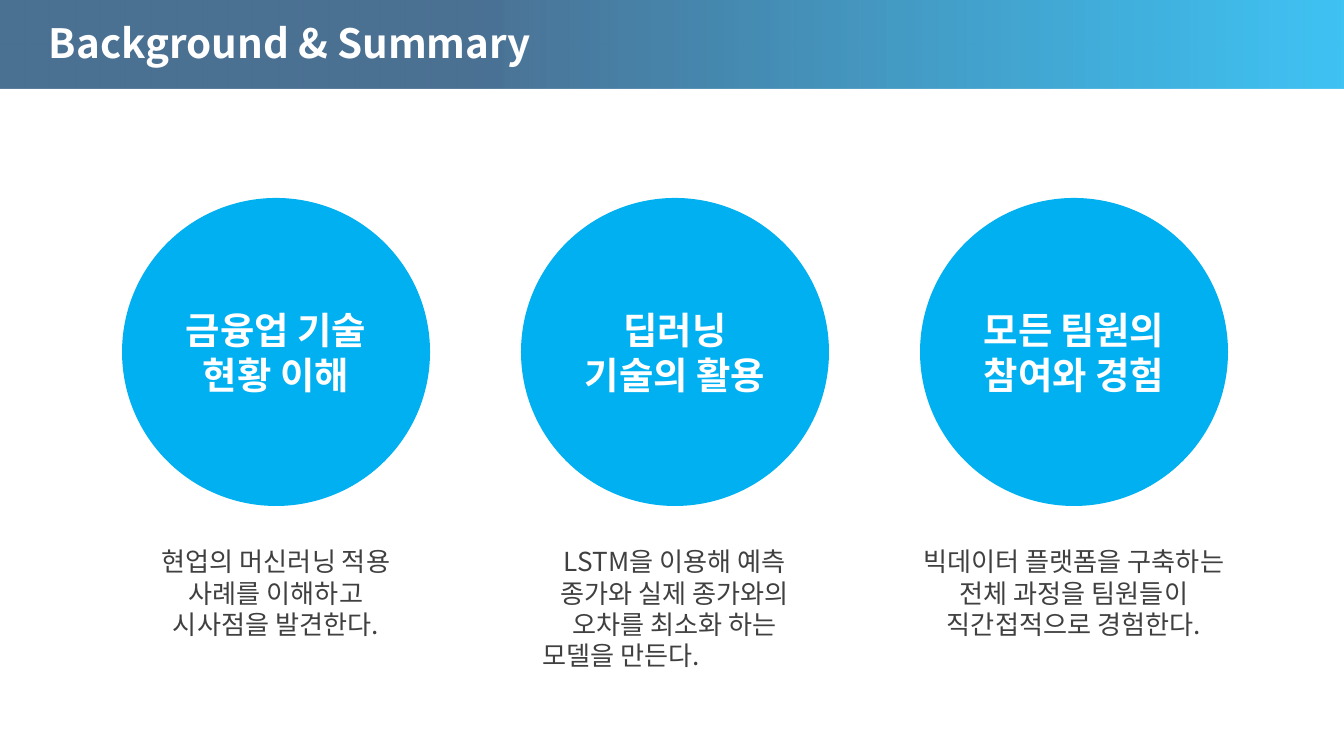
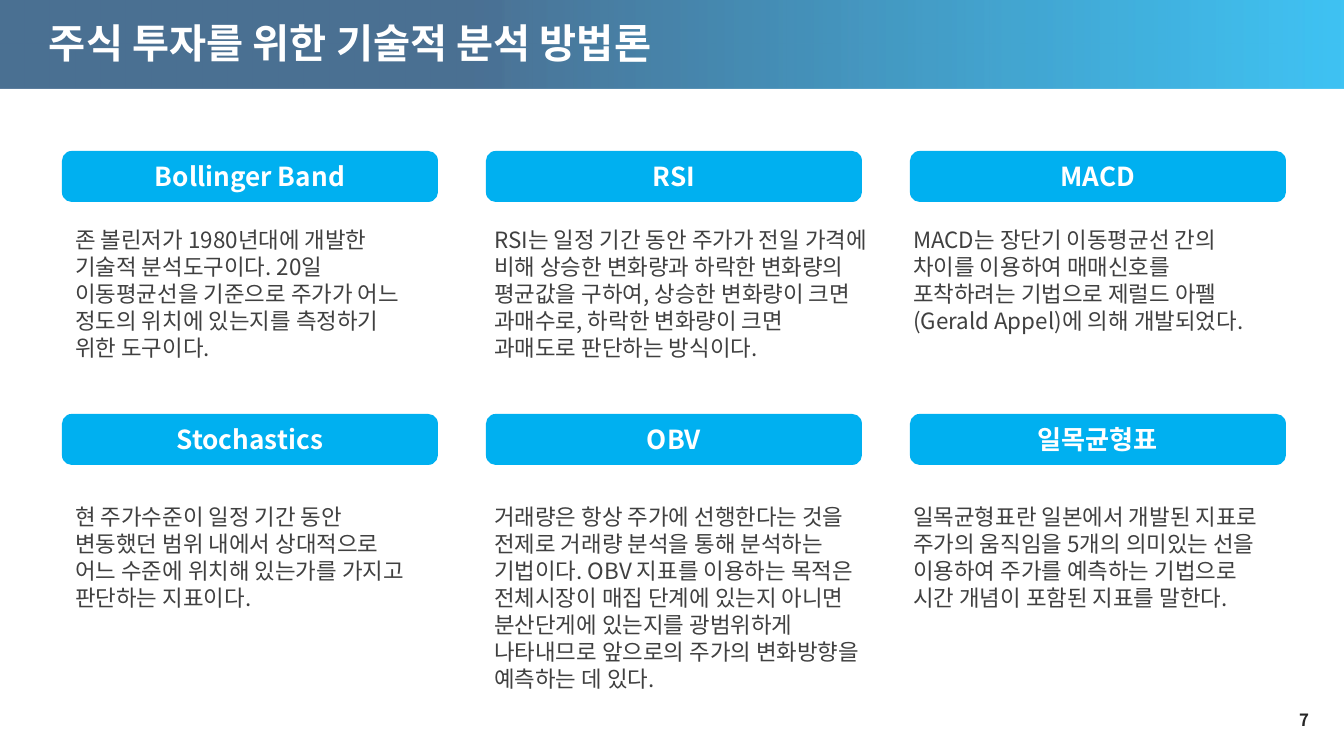
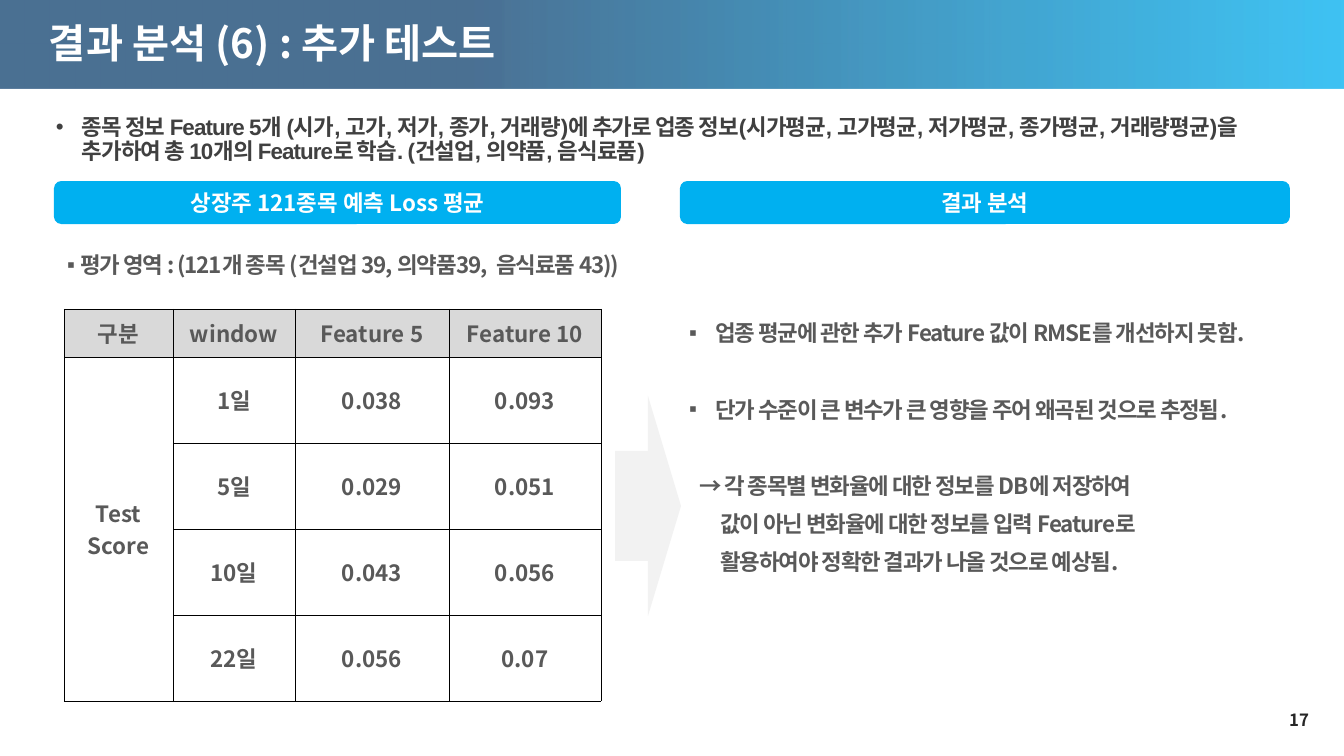
from dataclasses import dataclass

from pptx import Presentation
from pptx import util as u
from pptx.dml.color import RGBColor
from pptx.enum import shapes, text
from pptx.oxml import ns, xmlchemy

PX = 914400 / 134.4


@dataclass(frozen=True)
class Theme:
    font: str = "Noto Sans CJK KR"
    latin: str = "Arial"
    accent: str = "00B0F0"
    navy: str = "1F4E79"
    white: str = "FFFFFF"
    black: str = "000000"
    body: str = "404040"
    muted: str = "595959"
    number: str = "262626"
    header: str = "D9D9D9"
    arrow: str = "F2F2F2"
    title_size: float = 21.6
    circle_size: int = 20
    large_size: int = 14
    small_size: int = 12
    number_size: int = 9
    leading: float = 1.2


THEME = Theme()

GOALS = [
    (["금융업 기술", "현황 이해"], 284, 109,
     ["현업의 머신러닝 적용 사례를 이해하고 시사점을 발견한다."]),
    (["딥러닝", "기술의 활용"], 292, 140,
     ["LSTM을 이용해 예측 종가와 실제 종가와의 오차를 최소화 하는", "모델을 만든다."]),
    (["모든 팀원의", "참여와 경험"], 344, 109,
     ["빅데이터 플랫폼을 구축하는 전체 과정을 팀원들이 직간접적으로 경험한다."]),
]

METHODS = [
    ("Bollinger Band",
     "존 볼린저가 1980년대에 개발한 기술적 분석도구이다. 20일 이동평균선을 기준으로 주가가 "
     "어느 정도의 위치에 있는지를 측정하기 위한 도구이다.", 149),
    ("RSI",
     "RSI는 일정 기간 동안 주가가 전일 가격에 비해 상승한 변화량과 하락한 변화량의 평균값을 "
     "구하여, 상승한 변화량이 크면 과매수로, 하락한 변화량이 크면 과매도로 판단하는 방식이다.", 149),
    ("MACD",
     "MACD는 장단기 이동평균선 간의 차이를 이용하여 매매신호를 포착하려는 기법으로 "
     "제럴드 아펠(Gerald Appel)에 의해 개발되었다.", 122),
    ("Stochastics",
     "현 주가수준이 일정 기간 동안 변동했던 범위 내에서 상대적으로 어느 수준에 위치해 "
     "있는가를 가지고 판단하는 지표이다.", 122),
    ("OBV",
     "거래량은 항상 주가에 선행한다는 것을 전제로 거래량 분석을 통해 분석하는 기법이다. "
     "OBV 지표를 이용하는 목적은 전체시장이 매집 단계에 있는지 아니면 분산단게에 있는지를 "
     "광범위하게 나타내므로 앞으로의 주가의 변화방향을 예측하는 데 있다.", 203),
    ("일목균형표",
     "일목균형표란 일본에서 개발된 지표로 주가의 움직임을 5개의 의미있는 선을 이용하여 "
     "주가를 예측하는 기법으로 시간 개념이 포함된 지표를 말한다.", 149),
]
METHOD_TEXT_WIDTHS = [376, 402, 387]

FEATURE_NOTE = (
    "종목 정보 Feature 5개 (시가, 고가, 저가, 종가, 거래량)에 추가로 업종 정보(시가평균, "
    "고가평균, 저가평균, 종가평균, 거래량평균)을 추가하여 총 10개의 Feature로 학습. "
    "(건설업, 의약품, 음식료품)"
)
TEST_SCOPE = "평가 영역 : (121개 종목 (건설업 39, 의약품39,  음식료품 43))"
RESULT_PILLS = [("상장주 121종목 예측 Loss 평균", 54, 567), ("결과 분석", 680, 610)]
SCORES = [
    ["구분", "window", "Feature 5", "Feature 10"],
    ["Test\nScore", "1일", "0.038", "0.093"],
    ["", "5일", "0.029", "0.051"],
    ["", "10일", "0.043", "0.056"],
    ["", "22일", "0.056", "0.07"],
]
SCORE_COLUMNS = [109, 122, 154, 152]
SCORE_ROWS = [48, 86, 86, 86, 86]
FINDINGS = [
    ("업종 평균에 관한 추가 Feature 값이 RMSE를 개선하지 못함.",
     dict(bullet="▪", margin=26, before=6)),
    ("단가 수준이 큰 변수가 큰 영향을 주어 왜곡된 것으로 추정됨.",
     dict(bullet="▪", margin=26, before=26.4)),
    ("→ 각 종목별 변화율에 대한 정보를 DB에 저장하여", dict(margin=10, before=26.4)),
    ("값이 아닌 변화율에 대한 정보를 입력 Feature로", dict(margin=31, before=6)),
    ("활용하여야 정확한 결과가 나올 것으로 예상됨.", dict(margin=31, before=6)),
]


def px(length):
    return u.Emu(round(length * PX))


def rgb(color):
    return RGBColor.from_string(color)


def sub(parent, tag, **attributes):
    element = xmlchemy.OxmlElement(tag)
    for name, value in attributes.items():
        element.set(name, str(value))
    parent.append(element)
    return element


def write(frame, content, size=THEME.small_size, color=THEME.body, bold=False,
          align=None, font=THEME.font, bullet=None, margin=0, before=None,
          line=None, tracking=None):
    paragraph = frame.paragraphs[0]
    if paragraph.runs:
        paragraph = frame.add_paragraph()
    paragraph.alignment = align
    if before is not None:
        paragraph.space_before = u.Pt(before)
    if line is not None:
        paragraph.line_spacing = line
    properties = paragraph._p.get_or_add_pPr()
    if margin:
        properties.set("marL", str(px(margin)))
        properties.set("indent", str(-px(margin) if bullet else 0))
    if bullet:
        sub(properties, "a:buFont", typeface=THEME.latin)
        sub(properties, "a:buChar", char=bullet)
    run = paragraph.add_run()
    run.text = content
    run.font.size = u.Pt(size)
    run.font.bold = bold
    run.font.color.rgb = rgb(color)
    run.font.name = font
    run_properties = run._r.get_or_add_rPr()
    sub(run_properties, "a:ea", typeface=THEME.font)
    if tracking is not None:
        run_properties.set("spc", str(round(tracking * 100)))


def leading(size):
    return u.Pt(size * THEME.leading)


def set_insets(frame, horizontal, vertical):
    frame.margin_left = frame.margin_right = px(horizontal)
    frame.margin_top = frame.margin_bottom = px(vertical)


def add_box(slide, left, top, width, height, grow=False, middle=False, insets=None):
    frame = slide.shapes.add_textbox(px(left), px(top), px(width), px(height)).text_frame
    frame.word_wrap = True
    if grow:
        frame.auto_size = text.MSO_AUTO_SIZE.SHAPE_TO_FIT_TEXT
    if middle:
        frame.vertical_anchor = text.MSO_ANCHOR.MIDDLE
    if insets:
        set_insets(frame, *insets)
    return frame


def add_shape(slide, kind, left, top, width, height, color=THEME.accent):
    shape = slide.shapes.add_shape(kind, px(left), px(top), px(width), px(height))
    shape.shadow.inherit = False
    shape.line.fill.background()
    shape.fill.solid()
    shape.fill.fore_color.rgb = rgb(color)
    shape.text_frame.vertical_anchor = text.MSO_ANCHOR.MIDDLE
    return shape


def add_pill(slide, label, left, top, width, height, size, corner=0.17):
    pill = add_shape(slide, shapes.MSO_SHAPE.ROUNDED_RECTANGLE, left, top, width, height)
    pill.adjustments[0] = corner
    write(pill.text_frame, label, size=size, color=THEME.white, bold=True,
          align=text.PP_ALIGN.CENTER)


def start_slide(presentation, title, number=None):
    slide = presentation.slides.add_slide(presentation.slide_layouts[6])
    band = add_shape(slide, shapes.MSO_SHAPE.RECTANGLE, 0, 0, 1344, 89)
    band.fill.gradient()
    band.fill.gradient_angle = 180
    stops = [(0, THEME.accent, 75), (0.65, THEME.navy, 80)]
    for stop, (position, color, _) in zip(band.fill.gradient_stops, stops):
        stop.position = position
        stop.color.rgb = rgb(color)
    colors = band.element.spPr.iter(ns.qn("a:srgbClr"))
    for color, (_, _, opacity) in zip(list(colors), stops):
        sub(color, "a:alpha", val=opacity * 1000)
    if number:
        frame = add_box(slide, 1226, 700, 93, 40, middle=True, insets=(10, 5))
        write(frame, number, size=THEME.number_size, color=THEME.number, bold=True,
              align=text.PP_ALIGN.RIGHT)
    frame = add_box(slide, 39, 18, 1266, 54, middle=True, insets=(10, 5))
    write(frame, title, size=THEME.title_size, color=THEME.white, bold=True, line=0.9)
    return slide


def build_summary(presentation):
    slide = start_slide(presentation, "Background & Summary")
    diameter, pitch = 308, 399
    for index, (heading, width, height, caption) in enumerate(GOALS):
        left = 122 + index * pitch
        circle = add_shape(slide, shapes.MSO_SHAPE.OVAL, left, 198, diameter, diameter)
        set_insets(circle.text_frame, 0, 0)
        for content in heading:
            write(circle.text_frame, content, size=THEME.circle_size, color=THEME.white,
                  bold=True, align=text.PP_ALIGN.CENTER, line=leading(THEME.circle_size))
        frame = add_box(slide, left + (diameter - width) / 2, 539, width, height, grow=True)
        for order, content in enumerate(caption):
            write(frame, content, size=THEME.large_size, line=leading(THEME.large_size),
                  align=text.PP_ALIGN.LEFT if order else text.PP_ALIGN.CENTER)


def build_methods(presentation):
    slide = start_slide(presentation, "주식 투자를 위한 기술적 분석 방법론", "7")
    pill_tops, text_tops = [151, 414], [220, 497]
    for index, (name, description, height) in enumerate(METHODS):
        row, column = divmod(index, 3)
        add_pill(slide, name, 62 + column * 424, pill_tops[row], 376, 51,
                 THEME.large_size, corner=0.19)
        frame = add_box(slide, 62 + column * 419, text_tops[row],
                        METHOD_TEXT_WIDTHS[column], height, grow=True)
        write(frame, description, line=leading(THEME.small_size))


def add_borders(cell):
    properties = cell._tc.get_or_add_tcPr()
    for order, side in enumerate(["lnL", "lnR", "lnT", "lnB"]):
        border = sub(properties, f"a:{side}", w=u.Pt(0.25))
        sub(sub(border, "a:solidFill"), "a:srgbClr", val=THEME.black)
        properties.insert(order, border)


def add_scores(slide):
    table = slide.shapes.add_table(
        len(SCORES), len(SCORE_COLUMNS), px(64), px(309),
        px(sum(SCORE_COLUMNS)), px(sum(SCORE_ROWS))).table
    table.first_row = table.horz_banding = False
    for column, width in zip(table.columns, SCORE_COLUMNS):
        column.width = px(width)
    for row, height in zip(table.rows, SCORE_ROWS):
        row.height = px(height)
    table.cell(1, 0).merge(table.cell(4, 0))
    for row, values in enumerate(SCORES):
        for column, value in enumerate(values):
            cell = table.cell(row, column)
            cell.vertical_anchor = text.MSO_ANCHOR.MIDDLE
            set_insets(cell, 0, 0)
            if row == 0:
                cell.fill.solid()
                cell.fill.fore_color.rgb = rgb(THEME.header)
            else:
                cell.fill.background()
            add_borders(cell)
            for content in value.splitlines():
                write(cell.text_frame, content, color=THEME.muted, bold=True,
                      align=text.PP_ALIGN.CENTER)


def build_results(presentation):
    slide = start_slide(presentation, "결과 분석 (6) : 추가 테스트", "17")
    add_scores(slide)
    findings = add_box(slide, 676, 313, 633, 262)
    for content, layout in FINDINGS:
        write(findings, content, color=THEME.muted, bold=True, tracking=-0.6,
              line=leading(THEME.small_size), **layout)
    note = add_box(slide, 56, 116, 1234, 48, grow=True, insets=(0, 0))
    write(note, FEATURE_NOTE, font=THEME.latin, bold=True, bullet="•", margin=26,
          before=2.4, line=u.Pt(12.8), tracking=-0.5)
    scope = add_box(slide, 54, 245, 659, 52)
    write(scope, TEST_SCOPE, color=THEME.muted, bold=True, bullet="▪", margin=13,
          before=6, line=leading(THEME.small_size), tracking=-0.6)
    for label, left, width in RESULT_PILLS:
        add_pill(slide, label, left, 181, width, 43, THEME.small_size)
    add_shape(slide, shapes.MSO_SHAPE.RIGHT_ARROW, 615, 396, 66, 220, THEME.arrow)


def main():
    presentation = Presentation()
    presentation.slide_width = px(1344)
    presentation.slide_height = px(756)
    build_summary(presentation)
    build_methods(presentation)
    build_results(presentation)
    presentation.save("out.pptx")


if __name__ == "__main__":
    main()
